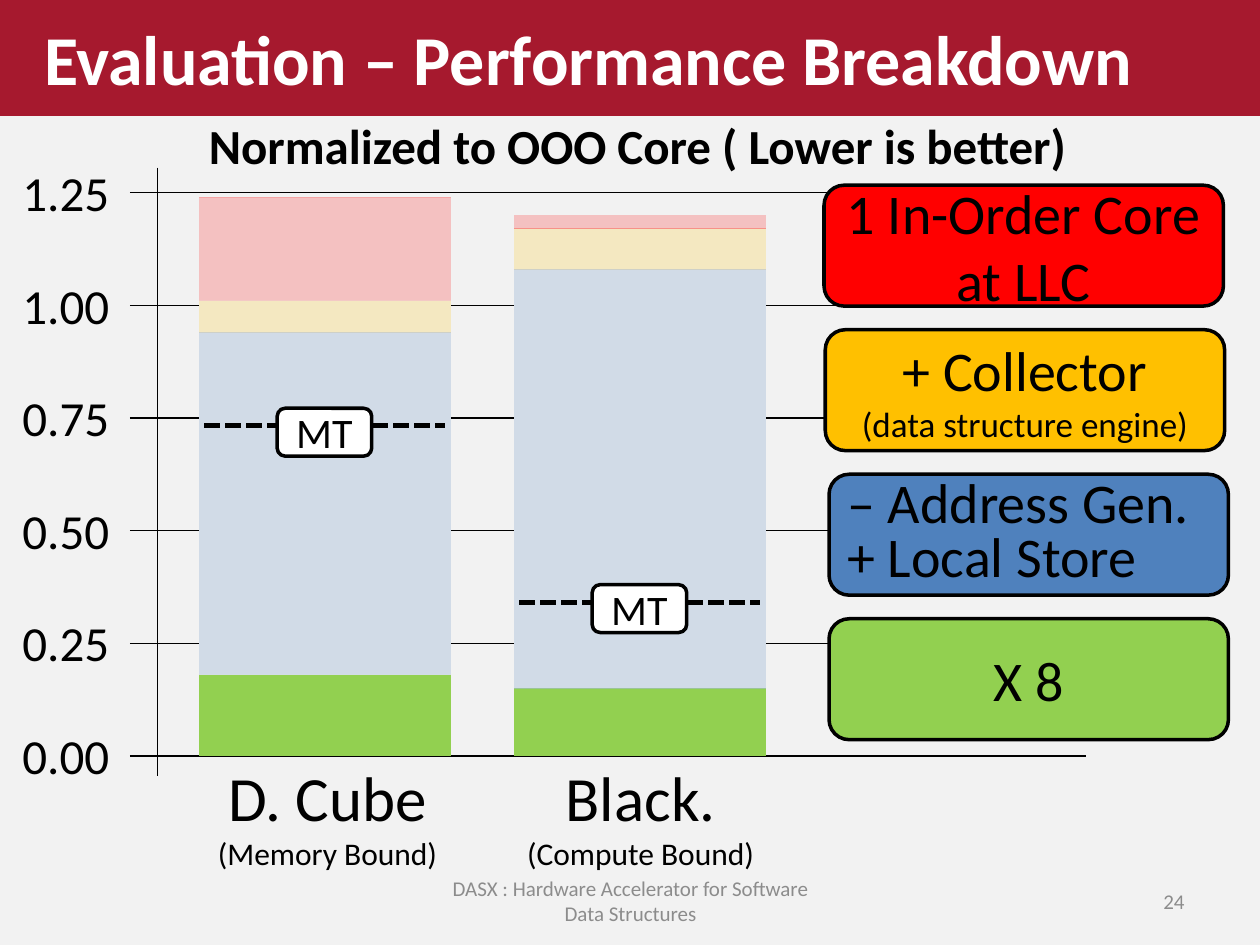
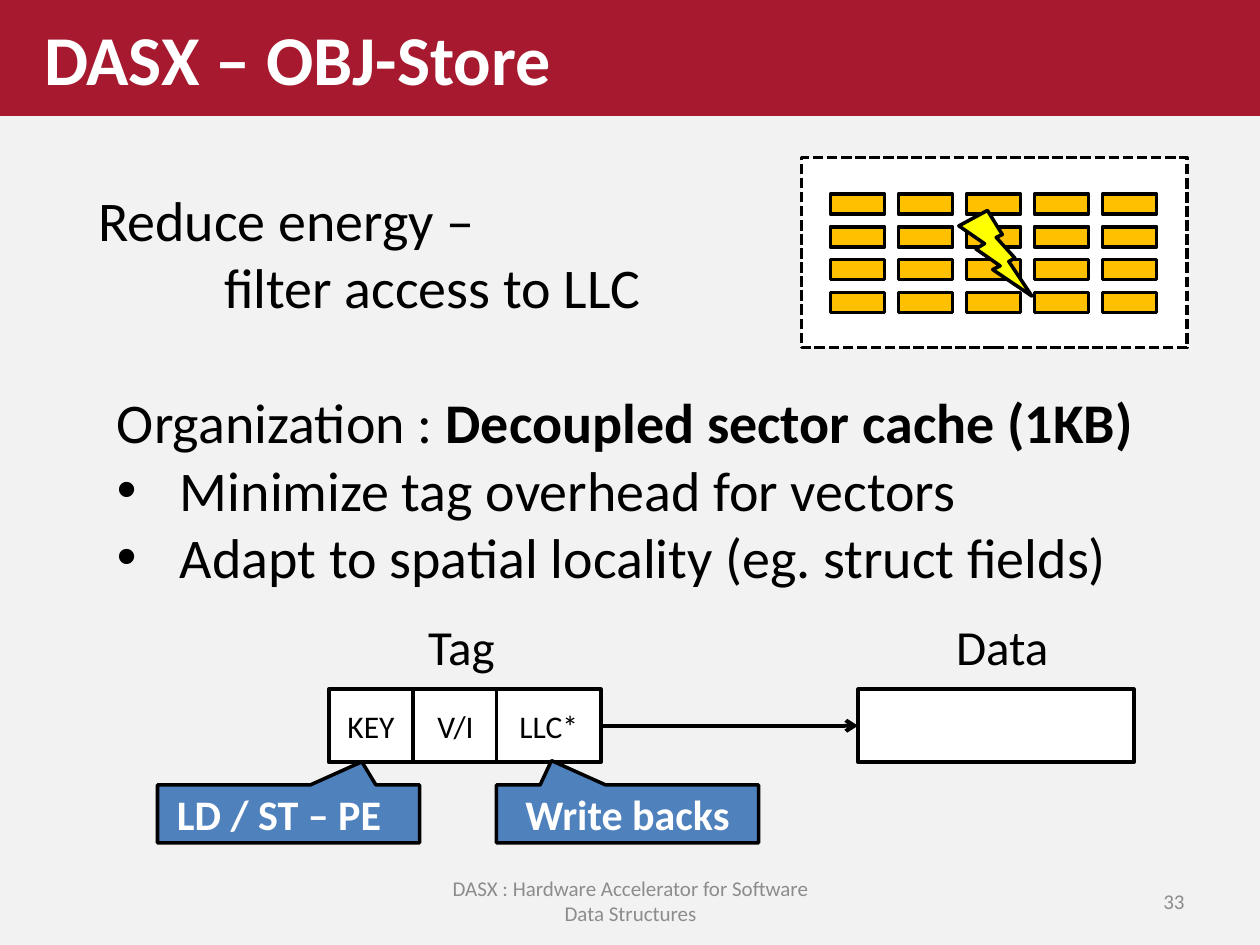
from dataclasses import dataclass

from lxml import etree
from pptx import Presentation
from pptx.dml.color import RGBColor
from pptx.enum.dml import MSO_LINE
from pptx.enum.shapes import MSO_CONNECTOR, MSO_SHAPE
from pptx.enum.text import MSO_ANCHOR, MSO_AUTO_SIZE, PP_ALIGN
from pptx.oxml.ns import qn
from pptx.shapes.shapetree import GroupShapes, SlideShapes
from pptx.slide import Slide
from pptx.util import Inches, Pt

RECT, ROUND = MSO_SHAPE.RECTANGLE, MSO_SHAPE.ROUNDED_RECTANGLE
BOLT, CALLOUT = MSO_SHAPE.LIGHTNING_BOLT, MSO_SHAPE.RECTANGULAR_CALLOUT
LEFT, CENTER, RIGHT = PP_ALIGN.LEFT, PP_ALIGN.CENTER, PP_ALIGN.RIGHT
TOP, MIDDLE = MSO_ANCHOR.TOP, MSO_ANCHOR.MIDDLE
NO_FIT, GROW = MSO_AUTO_SIZE.NONE, MSO_AUTO_SIZE.SHAPE_TO_FIT_TEXT
DASH = MSO_LINE.SQUARE_DOT
STRAIGHT = MSO_CONNECTOR.STRAIGHT

FONT = "Calibri"
FOOTER = "DASX : Hardware Accelerator for Software Data Structures"
BACKGROUND, BAND, GRAY = "F2F2F2", "A6192E", "8C8C8C"
BLACK, WHITE, YELLOW = "000000", "FFFFFF", "FFFF00"
RED, AMBER, BLUE, GREEN = "FF0000", "FFC000", "4F81BD", "92D050"

AXIS_BASE, UNIT_HEIGHT, BAR_WIDTH = 6.0, 3.576, 2.0
Shapes = SlideShapes | GroupShapes


@dataclass(frozen=True)
class Para:
    text: str
    size: float
    color: str = BLACK
    bold: bool = False
    align: PP_ALIGN = LEFT
    bold_tail: str = ""
    indent: float = 0
    bullet: bool = False
    spacing: float | None = None


@dataclass(frozen=True)
class Box:
    left: float
    top: float
    width: float
    height: float
    fill: str = WHITE
    paras: tuple[Para, ...] = ()
    kind: MSO_SHAPE = RECT
    line: float = 2
    dashed: bool = False
    opacity: int = 100
    pointer: tuple[float, ...] = ()
    right_inset: float = 0.1


@dataclass(frozen=True)
class Bar:
    left: float
    name: str
    bound: str
    label_left: float
    label_width: float
    tops: tuple[float, ...]
    threads_line: float


BARS = (
    Bar(1.58, "D. Cube", "(Memory Bound)", 1.62, 1.96,
        (1.24, 1.01, 0.94, 0.18), 3.38),
    Bar(4.08, "Black.", "(Compute Bound)", 4.07, 2.03,
        (1.2, 1.17, 1.08, 0.15), 4.78),
)

LEGEND = (
    (6.54, RED, (Para("1 In-Order Core at LLC", 32, align=CENTER),)),
    (6.55, AMBER, (Para("+ Collector", 32, align=CENTER),
                   Para("(data structure engine)", 20, align=CENTER))),
    (6.58, BLUE, (Para("– Address Gen. + Local Store", 32, spacing=0.8),)),
    (6.58, GREEN, (Para("X 8", 32, align=CENTER),)),
)

TAG_FIELDS = ((2.61, 0.67, "KEY"), (3.28, 0.67, "V/I"), (3.94, 0.83, "LLC*"))


def rgb(color: str) -> RGBColor:
    return RGBColor.from_string(color)


def apply(target: object, values: dict[str, object]) -> None:
    for name, value in values.items():
        setattr(target, name, value)


def write(tf, paras: tuple[Para, ...]) -> None:
    for i, para in enumerate(paras):
        p = tf.paragraphs[0] if i == 0 else tf.add_paragraph()
        apply(p, {"alignment": para.align, "line_spacing": para.spacing})
        if para.indent:
            pPr = p._p.get_or_add_pPr()
            pPr.set("marL", str(Inches(para.indent)))
            pPr.set("indent", str(Inches(-para.indent if para.bullet else 0)))
            if para.bullet:
                font = etree.SubElement(pPr, qn("a:buFont"))
                font.set("typeface", "Arial")
                etree.SubElement(pPr, qn("a:buChar")).set("char", "•")
        for text, bold in ((para.text, para.bold), (para.bold_tail, True)):
            if text:
                r = p.add_run()
                r.text = text
                apply(r.font, {"name": FONT, "size": Pt(para.size), "bold": bold})
                r.font.color.rgb = rgb(para.color)


def add_text(shapes: Shapes, left: float, top: float, width: float, height: float,
             *paras: Para, wrap: bool = False, anchor: MSO_ANCHOR = TOP) -> None:
    sp = shapes.add_textbox(Inches(left), Inches(top), Inches(width), Inches(height))
    apply(sp.text_frame, {"word_wrap": wrap, "vertical_anchor": anchor,
                          "auto_size": NO_FIT if wrap else GROW})
    write(sp.text_frame, paras)


def add_box(shapes: Shapes, box: Box) -> None:
    sp = shapes.add_shape(box.kind, Inches(box.left), Inches(box.top),
                          Inches(box.width), Inches(box.height))
    sp.shadow.inherit = False
    sp.fill.solid()
    sp.fill.fore_color.rgb = rgb(box.fill)
    if box.opacity < 100:
        color = sp._element.spPr.find(".//" + qn("a:srgbClr"))
        etree.SubElement(color, qn("a:alpha")).set("val", str(box.opacity * 1000))
    if box.line:
        sp.line.color.rgb = rgb(BLACK)
        sp.line.width = Pt(box.line)
        if box.dashed:
            sp.line.dash_style = DASH
    else:
        sp.line.fill.background()
    for i, value in enumerate(box.pointer):
        sp.adjustments[i] = value
    apply(sp.text_frame, {"word_wrap": True, "vertical_anchor": MIDDLE,
                          "margin_right": Inches(box.right_inset)})
    write(sp.text_frame, box.paras)


def add_line(shapes: Shapes, x1: float, y1: float, x2: float, y2: float,
             width: float = 0.75, dashed: bool = False, arrow: bool = False) -> None:
    line = shapes.add_connector(STRAIGHT, Inches(x1), Inches(y1), Inches(x2), Inches(y2))
    line.line.color.rgb = rgb(BLACK)
    line.line.width = Pt(width)
    if dashed:
        line.line.dash_style = DASH
    if arrow:
        ln = line.line._get_or_add_ln()
        etree.SubElement(ln, qn("a:tailEnd")).set("type", "arrow")
    etree.SubElement(line._element.spPr, qn("a:effectLst"))


def add_slide(prs, title: str, number: int) -> Slide:
    s = prs.slides.add_slide(prs.slide_layouts.get_by_name("Title Only"))
    sp = s.shapes.title
    apply(sp, {"left": 0, "top": 0, "width": prs.slide_width, "height": Inches(0.92)})
    sp.fill.solid()
    sp.fill.fore_color.rgb = rgb(BAND)
    apply(sp.text_frame, {"word_wrap": True, "auto_size": NO_FIT,
                          "vertical_anchor": MIDDLE, "margin_left": Inches(0.35)})
    write(sp.text_frame, (Para(title, 40, WHITE, True),))
    for left, width, text, align in ((3.42, 3.17, FOOTER, CENTER),
                                     (7.17, 2.33, str(number), RIGHT)):
        add_text(s.shapes, left, 6.95, width, 0.4, Para(text, 12, GRAY, align=align),
                 wrap=True, anchor=MIDDLE)
    return s


def axis_y(value: float) -> float:
    return AXIS_BASE - value * UNIT_HEIGHT


def add_bar(shapes: Shapes, bar: Bar) -> None:
    for top, color in zip(bar.tops, (RED, AMBER, BLUE, GREEN)):
        add_box(shapes, Box(bar.left, axis_y(top), BAR_WIDTH, top * UNIT_HEIGHT,
                            color, line=0))
    for top, bottom in zip(bar.tops, bar.tops[1:]):
        add_box(shapes, Box(bar.left, axis_y(top), BAR_WIDTH,
                            (top - bottom) * UNIT_HEIGHT, BACKGROUND,
                            line=0, opacity=80))
    add_text(shapes, bar.label_left, 5.97, bar.label_width, 1.01,
             Para(bar.name, 36, align=CENTER), Para(bar.bound, 18, align=CENTER))
    marker = shapes.add_group_shape().shapes
    add_line(marker, bar.left + 0.04, bar.threads_line,
             bar.left + 1.95, bar.threads_line, 3, dashed=True)
    add_box(marker, Box(bar.left + 0.62, bar.threads_line - 0.14, 0.75, 0.38,
                        paras=(Para("MT", 24, align=CENTER),), kind=ROUND))


def build_breakdown(prs) -> None:
    shapes = add_slide(prs, "Evaluation – Performance Breakdown", 24).shapes
    add_line(shapes, 1.25, 1.33, 1.25, 6.16)
    for step in range(6):
        value = step * 0.25
        y = axis_y(value)
        add_line(shapes, 1.03, y, 8.62, y)
        add_text(shapes, 0.08, y - 0.29, 0.9, 0.57, Para(f"{value:.2f}", 28))
    for bar in BARS:
        add_bar(shapes, bar)
    for i, (left, color, paras) in enumerate(LEGEND):
        add_box(shapes, Box(left, 1.47 + i * 1.147, 3.17, 0.96, color, paras, ROUND))
    add_text(shapes, 1.56, 0.87, 7.1, 0.57,
             Para("Normalized to OOO Core ( Lower is better)", 28, bold=True))


def build_store(prs) -> None:
    shapes = add_slide(prs, "DASX – OBJ-Store", 33).shapes
    store = shapes.add_group_shape().shapes
    add_box(store, Box(6.36, 1.25, 3.06, 1.51, dashed=True))
    for row in range(4):
        for col in range(5):
            add_box(store, Box(6.59 + col * 0.54, 1.54 + row * 0.26, 0.43, 0.16, AMBER))
    add_box(store, Box(7.61, 1.67, 0.58, 0.68, YELLOW, kind=BOLT))

    add_text(shapes, 0.68, 1.42, 4.55, 1.18, Para("Reduce energy –", 32),
             Para("filter access to LLC", 32, indent=1))
    add_text(shapes, 0.83, 3.03, 8.35, 1.72,
             Para("Organization : ", 32, bold_tail="Decoupled sector cache (1KB)"),
             Para("Minimize tag overhead for vectors", 32, indent=0.5, bullet=True),
             Para("Adapt to spatial locality (eg. struct fields)", 32,
                  indent=0.5, bullet=True))

    for left, width, text in TAG_FIELDS:
        add_box(shapes, Box(left, 5.47, width, 0.58,
                            paras=(Para(text, 18, align=CENTER),)))
    add_box(shapes, Box(6.81, 5.47, 2.19, 0.58))
    add_line(shapes, 4.78, 5.76, 6.81, 5.76, 2.25, arrow=True)
    for left, width, text in ((3.3, 0.82, "Tag"), (7.49, 0.94, "Data")):
        add_text(shapes, left, 4.84, width, 0.57, Para(text, 28))
    for left, text, pointer, inset in (
            (1.25, "LD / ST – PE", (0.28, -0.9), 0.25),
            (3.94, "Write backs", (-0.29, -0.92), 0.1)):
        add_box(shapes, Box(left, 6.23, 2.08, 0.46, BLUE,
                            (Para(text, 24, WHITE, True, CENTER),), CALLOUT,
                            pointer=pointer, right_inset=inset))


def main() -> None:
    prs = Presentation()
    apply(prs, {"slide_width": Inches(10), "slide_height": Inches(7.5)})
    fill = prs.slide_master.background.fill
    fill.solid()
    fill.fore_color.rgb = rgb(BACKGROUND)
    build_breakdown(prs)
    build_store(prs)
    prs.save("out.pptx")


if __name__ == "__main__":
    main()
